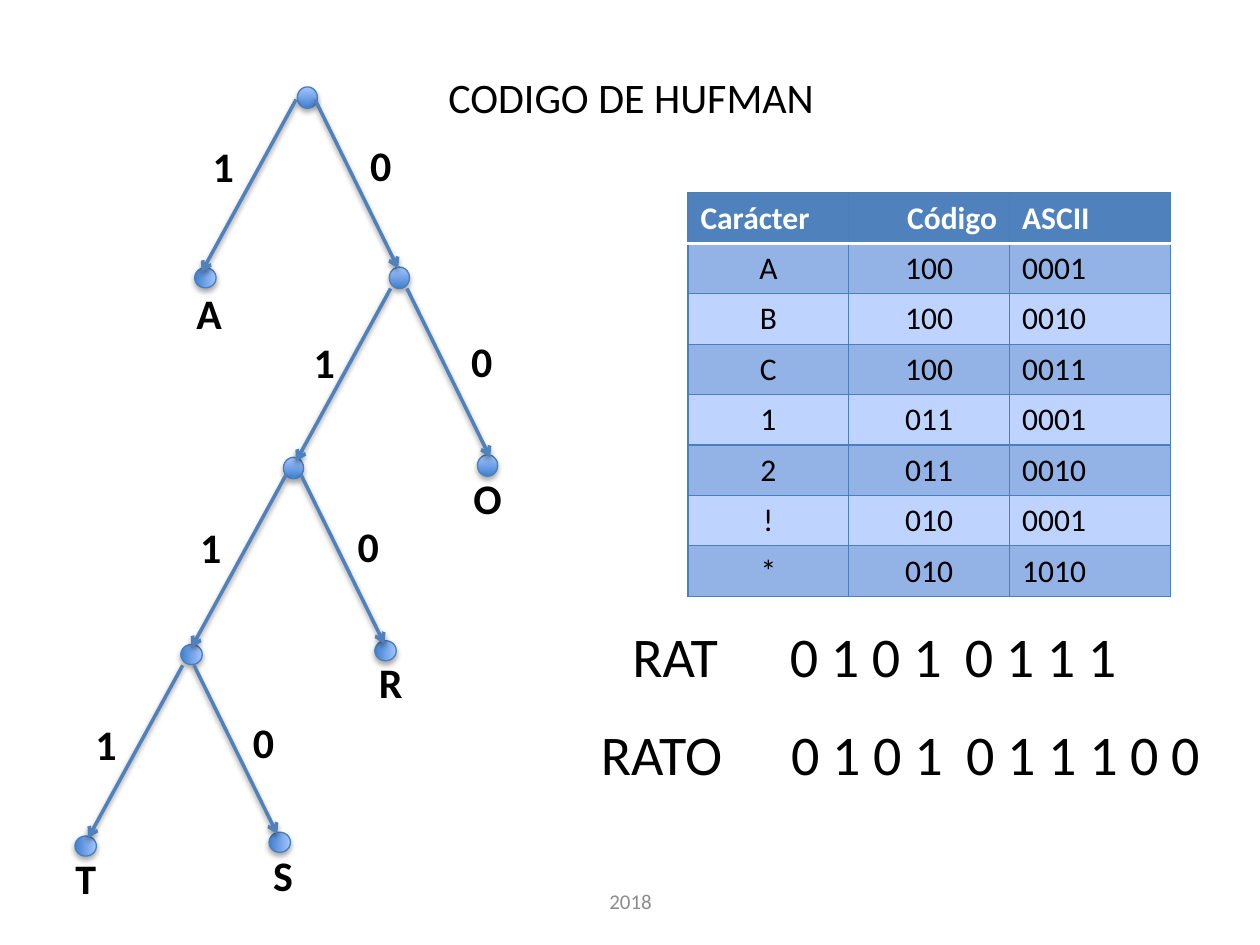
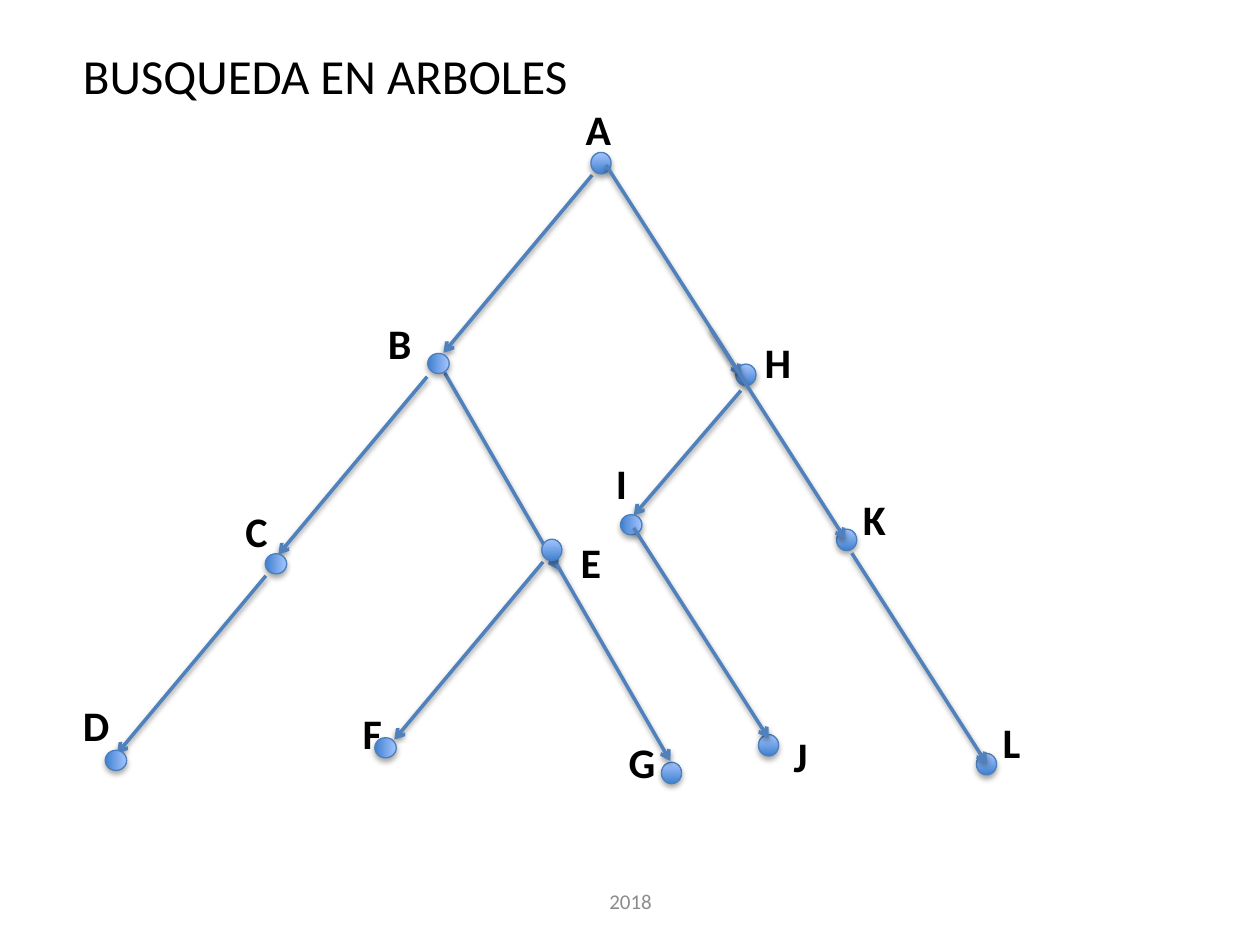
from lxml import etree
from pptx import Presentation
from pptx import util as u
from pptx.dml.color import RGBColor
from pptx.enum import shapes, text
from pptx.oxml import parse_xml
from pptx.oxml.ns import nsdecls, qn

FONT = "Calibri"
BLACK = RGBColor(0x00, 0x00, 0x00)
WHITE = RGBColor(0xFF, 0xFF, 0xFF)
GRAY = RGBColor(0x8C, 0x8C, 0x8C)
BLUE = RGBColor(0x4F, 0x81, 0xBD)
OUTLINE = RGBColor(0x4B, 0x7E, 0xBC)
NODE_DARK = RGBColor(0x3F, 0x80, 0xCE)
NODE_LIGHT = RGBColor(0xA4, 0xC4, 0xFF)
ROW_DARK = RGBColor(0x93, 0xB2, 0xE5)
ROW_LIGHT = RGBColor(0xBF, 0xD3, 0xFF)

TITLE = {"size": u.Pt(28)}
SUBTITLE = {"size": u.Pt(24)}
LABEL = {"size": u.Pt(24), "bold": True}
CODE = {"size": u.Pt(32)}
FOOTER = {"size": u.Pt(12), "color": GRAY}

LEFT, CENTER, RIGHT = text.PP_ALIGN.LEFT, text.PP_ALIGN.CENTER, text.PP_ALIGN.RIGHT

HUFFMAN_NODES = [
    ("", (1.86, 0.19), False, None),
    ("", (2.59, 1.62), False, None),
    ("A", (1.05, 1.62), True, (0.96, 1.73)),
    ("R", (2.48, 4.58), True, (2.41, 4.66)),
    ("", (0.94, 4.61), True, None),
    ("", (1.75, 3.13), False, None),
    ("O", (3.29, 3.11), False, (3.16, 3.2)),
    ("S", (1.64, 6.1), True, (1.57, 6.19)),
    ("T", (0.1, 6.13), True, (0, 6.22)),
]
HUFFMAN_FORKS = [
    ((2, 0.29), 1.85, (2.34, 0.56)),
    ((2.73, 1.79), 2.6, (3.14, 2.11)),
    ((1.89, 3.27), 1.77, (2.24, 3.58)),
    ((1.04, 4.78), 0.95, (1.41, 5.14)),
]
ZERO_STEP, ONE_STEP = (0.66, 1.34), (-0.75, 1.37)

SEARCH_NODES = [
    ("A", (4.13, 0.44), False, (3.99, 0)),
    ("H", (5.28, 2.12), False, (5.41, 1.85)),
    ("K", (6.08, 3.43), False, (6.19, 3.1)),
    ("L", (7.19, 5.21), False, (7.3, 4.87)),
    ("B", (2.84, 2.03), True, (2.42, 1.7)),
    ("C", (1.55, 3.62), True, (1.29, 3.19)),
    ("D", (0.28, 5.18), True, (0, 4.73)),
    ("E", (3.74, 3.51), False, (3.95, 3.44)),
    ("G", (4.69, 5.28), False, (4.33, 5.03)),
    ("F", (2.42, 5.08), True, (2.22, 4.8)),
    ("I", (4.37, 3.31), True, (4.23, 2.81)),
    ("J", (5.46, 5.06), False, (5.64, 4.98)),
]
DOWN_LEFT, SHORT_LEFT = (-1.18, 1.41), (-0.85, 0.99)
INNER_RIGHT, OUTER_RIGHT = (0.9, 1.56), (1.07, 1.67)
SEARCH_BACK = [
    ((4.14, 0.62), DOWN_LEFT),
    ((2.83, 2.22), DOWN_LEFT),
    ((1.55, 3.8), DOWN_LEFT),
    ((3.75, 3.69), DOWN_LEFT),
    ((2.97, 2.19), INNER_RIGHT),
    ((5.32, 2.33), SHORT_LEFT),
]
SEARCH_FRONT = [
    ((3.86, 3.71), INNER_RIGHT),
    ((4.47, 3.42), OUTER_RIGHT),
    ((4.25, 0.54), OUTER_RIGHT),
    ((5.08, 1.84), OUTER_RIGHT),
    ((6.2, 3.62), OUTER_RIGHT),
]

CODE_TABLE = [
    ("Carácter", "Código", "ASCII"),
    ("A", "100", "0001"),
    ("B", "100", "0010"),
    ("C", "100", "0011"),
    ("1", "011", "0001"),
    ("2", "011", "0010"),
    ("!", "010", "0001"),
    ("*", "010", "1010"),
]
CODE_SLOTS = [(0, 1.16), (0.98, 0.47), (1.39, 1.44), (2.69, 0.81)]


def inches(*values):
    return [u.Inches(value) for value in values]


def shift(box, offset):
    return box[0] + offset[0], box[1] + offset[1]


def style(para, look, align=LEFT):
    para.alignment = align
    for name, value in {"name": FONT, "color": BLACK, **look}.items():
        if name == "color":
            para.font.color.rgb = value
        else:
            setattr(para.font, name, value)


def write(page, box, words, look, align=LEFT, anchor=text.MSO_ANCHOR.TOP):
    frame = page.shapes.add_textbox(*inches(*box)).text_frame
    frame.word_wrap = True
    frame.vertical_anchor = anchor
    para = frame.paragraphs[0]
    para.add_run().text = words
    style(para, look, align)


def add_shadow(item, distance, alpha):
    item._element.spPr.append(parse_xml(
        f'<a:effectLst {nsdecls("a")}><a:outerShdw blurRad="40000" dist="{distance}" '
        f'dir="5400000" rotWithShape="0"><a:srgbClr val="000000">'
        f'<a:alpha val="{alpha}"/></a:srgbClr></a:outerShdw></a:effectLst>'))


def add_node(page, place, turned):
    node = page.shapes.add_shape(shapes.MSO_SHAPE.OVAL, *inches(*place, 0.16, 0.17))
    node.rotation = 90 if turned else 0
    node.fill.gradient()
    node.fill.gradient_angle = 90
    for stop, color in zip(node.fill.gradient_stops, (NODE_DARK, NODE_LIGHT)):
        stop.color.rgb = color
    node.line.color.rgb = OUTLINE
    node.line.width = u.Pt(0.75)
    add_shadow(node, 23000, 35000)


def add_arrow(page, start, step):
    arrow = page.shapes.add_connector(
        shapes.MSO_CONNECTOR.STRAIGHT, *inches(*start, *shift(start, step)))
    arrow.line.color.rgb = BLUE
    arrow.line.width = u.Pt(2)
    etree.SubElement(arrow.line._get_or_add_ln(), qn("a:tailEnd"), type="arrow")
    add_shadow(arrow, 20000, 38000)


def add_label(page, place, words):
    write(page, (*place, 0.67, 0.5), words, LABEL)


def draw_tree(page, box, nodes, back, front):
    for start, step in back:
        add_arrow(page, shift(box, start), step)
    for _, place, turned, _ in nodes:
        add_node(page, shift(box, place), turned)
    for name, _, _, label_place in nodes:
        if name:
            add_label(page, shift(box, label_place), name)
    for start, step in front:
        add_arrow(page, shift(box, start), step)


def draw_huffman_tree(page, box):
    arrows = []
    for zero_start, one_left, zero_label in HUFFMAN_FORKS:
        arrows += [(zero_start, ZERO_STEP), ((one_left, zero_start[1]), ONE_STEP)]
        add_label(page, shift(box, zero_label), "0")
        add_label(page, shift(box, shift(zero_label, (-1.25, 0.01))), "1")
    draw_tree(page, box, HUFFMAN_NODES, [], arrows)


def add_border(cell, side, color, width):
    line = etree.SubElement(
        cell._tc.get_or_add_tcPr(), qn(f"a:ln{side}"), w=str(u.Pt(width)))
    fill = etree.SubElement(line, qn("a:solidFill"))
    etree.SubElement(fill, qn("a:srgbClr"), val=str(color))


def draw_code_table(page, box):
    frame = page.shapes.add_table(len(CODE_TABLE), len(CODE_TABLE[0]), *inches(*box))
    for row_index, row in enumerate(CODE_TABLE):
        header = row_index == 0
        look = {"size": u.Pt(18), "bold": header, "color": WHITE if header else BLACK}
        aligns = (LEFT, RIGHT, LEFT) if header else (CENTER, CENTER, LEFT)
        fill = BLUE if header else (ROW_LIGHT, ROW_DARK)[row_index % 2]
        white_side = {0: "B", 1: "T"}.get(row_index)
        for column, (words, align) in enumerate(zip(row, aligns)):
            cell = frame.table.cell(row_index, column)
            cell.text = words
            style(cell.text_frame.paragraphs[0], look, align)
            for side in "LRTB":
                edge = (WHITE, 2) if side == white_side else (OUTLINE, 0.75)
                add_border(cell, side, *edge)
            cell.fill.solid()
            cell.fill.fore_color.rgb = fill


def draw_code_row(page, box, word, word_gap, chunks):
    left, top = box
    write(page, (left - word_gap, top, 2.08, 0.64), word, CODE)
    for chunk, (offset, width) in zip(chunks, CODE_SLOTS):
        write(page, (left + offset, top, width, 0.64), chunk, CODE)


def draw_footer(page):
    write(page, (3.42, 6.95, 3.17, 0.4), "2018", FOOTER, CENTER, text.MSO_ANCHOR.MIDDLE)


def build_huffman_page(page):
    draw_huffman_tree(page, (0.5, 0.5))
    draw_code_table(page, (5.46, 1.53, 3.83, 3.2))
    write(page, (3.46, 0.52, 3.55, 0.5), "CODIGO DE HUFMAN", SUBTITLE)
    chunks = ["0 1 0", "1", "0 1 1 1"]
    draw_code_row(page, (6.17, 4.88), "RAT", 1.25, chunks)
    draw_code_row(page, (6.18, 5.66), "RATO", 1.51, chunks + ["0 0"])
    draw_footer(page)


def build_search_page(page):
    write(page, (0.56, 0.31, 5.45, 0.57), "BUSQUEDA EN ARBOLES", TITLE)
    draw_tree(page, (0.56, 0.77), SEARCH_NODES, SEARCH_BACK, SEARCH_FRONT)
    draw_footer(page)


def main():
    deck = Presentation()
    deck.slide_width, deck.slide_height = inches(10, 7.5)
    for build in (build_huffman_page, build_search_page):
        build(deck.slides.add_slide(deck.slide_layouts[6]))
    deck.save("out.pptx")


if __name__ == "__main__":
    main()
